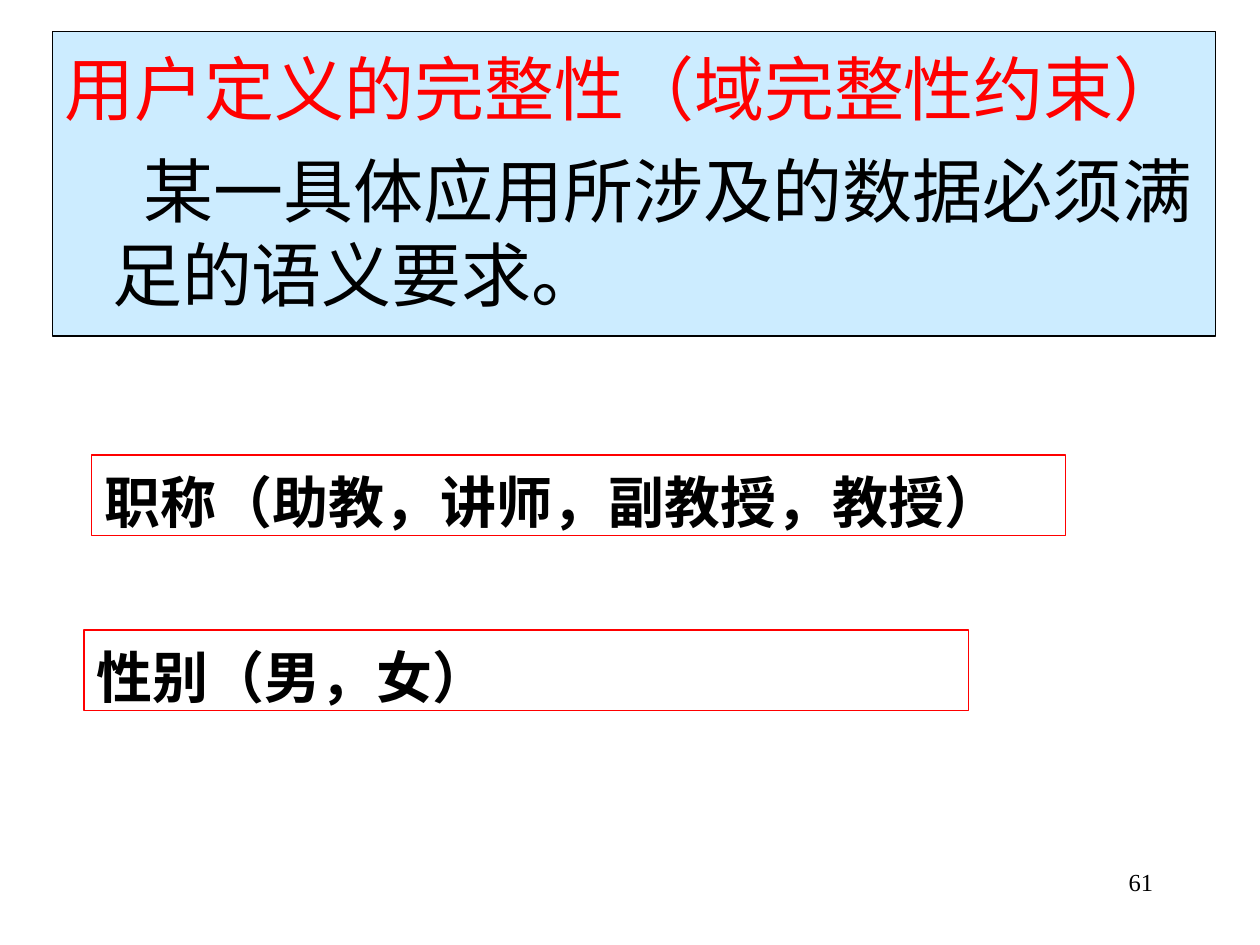
import pptx
import pptx.util
import pptx.dml.color
import pptx.enum.shapes
import pptx.enum.text
import pptx.oxml

Pt = pptx.util.Pt
ALIGN = pptx.enum.text.PP_ALIGN
SANS = "Noto Sans CJK SC"
SERIF = "Times New Roman"


def color(code):
    """Return the colour for a hex string."""
    return pptx.dml.color.RGBColor.from_string(code)


def style(para, size, face, code, bold=False, asian=SANS):
    """Format the runs of a paragraph."""
    for run in para.runs:
        font = run.font
        font.size, font.name, font.bold = Pt(size), face, bold
        font.color.rgb = color(code)
        props = run._r.get_or_add_rPr()
        node = pptx.oxml.parse_xml(
            '<a:ea xmlns:a="http://schemas.openxmlformats.org/drawingml/2006/main"/>')
        node.set("typeface", asian)
        props.find(pptx.oxml.ns.qn("a:latin")).addnext(node)


def indent(para, left, first):
    """Set the left margin and first-line indent."""
    props = para._p.get_or_add_pPr()
    props.set("marL", str(Pt(left)))
    props.set("indent", str(Pt(first)))


def panel(slide, place, line, text, top, fill=None):
    """Add an outlined box and return its paragraphs."""
    kind = pptx.enum.shapes.MSO_SHAPE.RECTANGLE
    shape = slide.shapes.add_shape(kind, *map(Pt, place))
    shape.shadow.inherit = False
    if fill:
        shape.fill.solid()
        shape.fill.fore_color.rgb = color(fill)
    else:
        shape.fill.background()
    shape.line.color.rgb = color(line)
    shape.line.width = Pt(0.75)
    frame = shape.text_frame
    frame.word_wrap = True
    frame.vertical_anchor = pptx.enum.text.MSO_ANCHOR.TOP
    frame.margin_top = Pt(top)
    frame.text = text
    for para in frame.paragraphs:
        para.alignment = ALIGN.LEFT
    return frame.paragraphs


def body(slide):
    """Add the definition panel."""
    text = "用户定义的完整性（域完整性约束）\n某一具体应用所涉及的数据必须满足的语义要求。"
    head, rule = panel(slide, (30, 18, 664.5, 174), "000000", text, 8.3, "CCECFF")
    indent(head, 27, -27)
    indent(rule, 27, 18)
    rule.space_before = Pt(10)
    style(head, 40, SANS, "FF0000")
    style(rule, 40, "Noto Sans CJK JP", "000000", asian="Noto Sans CJK JP")
    for para in (head, rule):
        para.line_spacing = Pt(48)


def sample(slide, place, text):
    """Add a red-framed example."""
    para = panel(slide, place, "FF0000", text, 7.4)[0]
    para.line_spacing = Pt(38.4)
    style(para, 32, SERIF, "000000", True)


def number(slide, text):
    """Add the page number."""
    box = slide.shapes.add_textbox(Pt(516), Pt(492), Pt(150), Pt(36))
    box.text_frame.word_wrap = True
    box.text_frame.text = text
    para = box.text_frame.paragraphs[0]
    para.alignment = ALIGN.RIGHT
    style(para, 14, SERIF, "000000")


def main():
    """Build and save the slide."""
    deck = pptx.Presentation()
    deck.slide_width, deck.slide_height = Pt(720), Pt(540)
    slide = deck.slides.add_slide(deck.slide_layouts[6])
    number(slide, "61")
    body(slide)
    sample(slide, (52.5, 260, 556.5, 46), "职称（助教，讲师，副教授，教授）")
    sample(slide, (48, 360, 505.5, 46), "性别（男，女）")
    deck.save("out.pptx")


if __name__ == "__main__":
    main()
